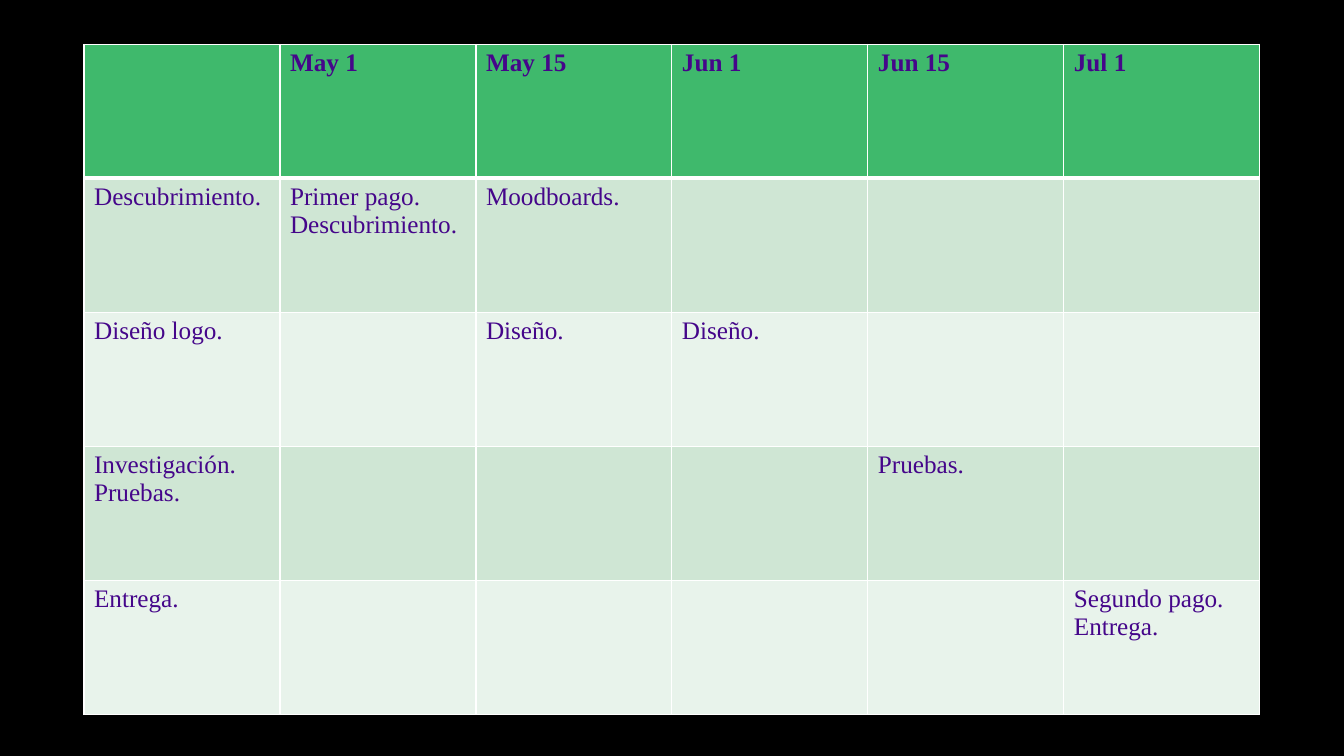
from dataclasses import dataclass, field

from pptx import Presentation
from pptx.dml.color import RGBColor
from pptx.oxml import parse_xml
from pptx.oxml.ns import nsdecls
from pptx.table import _Cell as Cell
from pptx.util import Pt

BLACK = RGBColor(0x00, 0x00, 0x00)
WHITE = RGBColor(0xFF, 0xFF, 0xFF)
PURPLE = RGBColor(0x45, 0x06, 0x8A)
GREEN = RGBColor(0x3F, 0xB9, 0x6C)
MINT = RGBColor(0xCF, 0xE6, 0xD4)
PALE_MINT = RGBColor(0xE8, 0xF3, 0xEB)

COLUMN_WIDTH, ROW_HEIGHT = 140, 95.7
LEFT, TOP = 60, 31.7
THIN, THICK = 1, 3


@dataclass
class Phase:
    name: str
    tasks: dict[str, str] = field(default_factory=dict)  # date -> task


DATES = ["May 1", "May 15", "Jun 1", "Jun 15", "Jul 1"]
PHASES = [
    Phase("Descubrimiento.", {"May 1": "Primer pago.\nDescubrimiento.",
                              "May 15": "Moodboards."}),
    Phase("Diseño logo.", {"May 15": "Diseño.", "Jun 1": "Diseño."}),
    Phase("Investigación.\nPruebas.", {"Jun 15": "Pruebas."}),
    Phase("Entrega.", {"Jul 1": "Segundo pago.\nEntrega."}),
]


def write(cell: Cell, text: str, *, size: float = 18, bold: bool = False,
          color: RGBColor = PURPLE, font: str = "Times New Roman") -> None:
    """Write the text, one paragraph a line, in the given format."""
    cell.text_frame.text = text
    for paragraph in cell.text_frame.paragraphs:
        for run in paragraph.runs:
            run.font.name = font
            run.font.size = Pt(size)
            run.font.bold = bold
            run.font.color.rgb = color


def paint(cell: Cell, fill: RGBColor, *, top: float = THIN,
          bottom: float = THIN) -> None:
    """Fill the cell and rule its four sides in white."""
    cell.fill.solid()
    cell.fill.fore_color.rgb = fill
    properties = cell._tc.get_or_add_tcPr()
    sides = {"lnL": THIN, "lnR": THIN, "lnT": top, "lnB": bottom}
    for position, (side, width) in enumerate(sides.items()):
        properties.insert(position, parse_xml(
            f'<a:{side} {nsdecls("a")} w="{Pt(width)}"><a:solidFill>'
            f'<a:srgbClr val="{WHITE}"/></a:solidFill></a:{side}>'))


def main() -> None:
    deck = Presentation()
    deck.slide_width, deck.slide_height = Pt(960), Pt(540)
    slide = deck.slides.add_slide(deck.slide_layouts[6])
    slide.background.fill.solid()
    slide.background.fill.fore_color.rgb = BLACK

    # Schedule grid
    grid = [["", *DATES]]
    grid += [[phase.name, *(phase.tasks.get(date, "") for date in DATES)]
             for phase in PHASES]
    rows, columns = len(grid), len(grid[0])
    schedule = slide.shapes.add_table(
        rows, columns, Pt(LEFT), Pt(TOP),
        Pt(columns * COLUMN_WIDTH), Pt(rows * ROW_HEIGHT)).table
    for column in schedule.columns:
        column.width = Pt(COLUMN_WIDTH)
    for row in schedule.rows:
        row.height = Pt(ROW_HEIGHT)

    # Header row, then banded phases
    for r, texts in enumerate(grid):
        header = r == 0
        fill = GREEN if header else (PALE_MINT, MINT)[r % 2]
        for c, text in enumerate(texts):
            cell = schedule.cell(r, c)
            write(cell, text, bold=header)
            paint(cell, fill, top=THICK if r == 1 else THIN,
                  bottom=THICK if header else THIN)

    deck.save("out.pptx")


if __name__ == "__main__":
    main()
